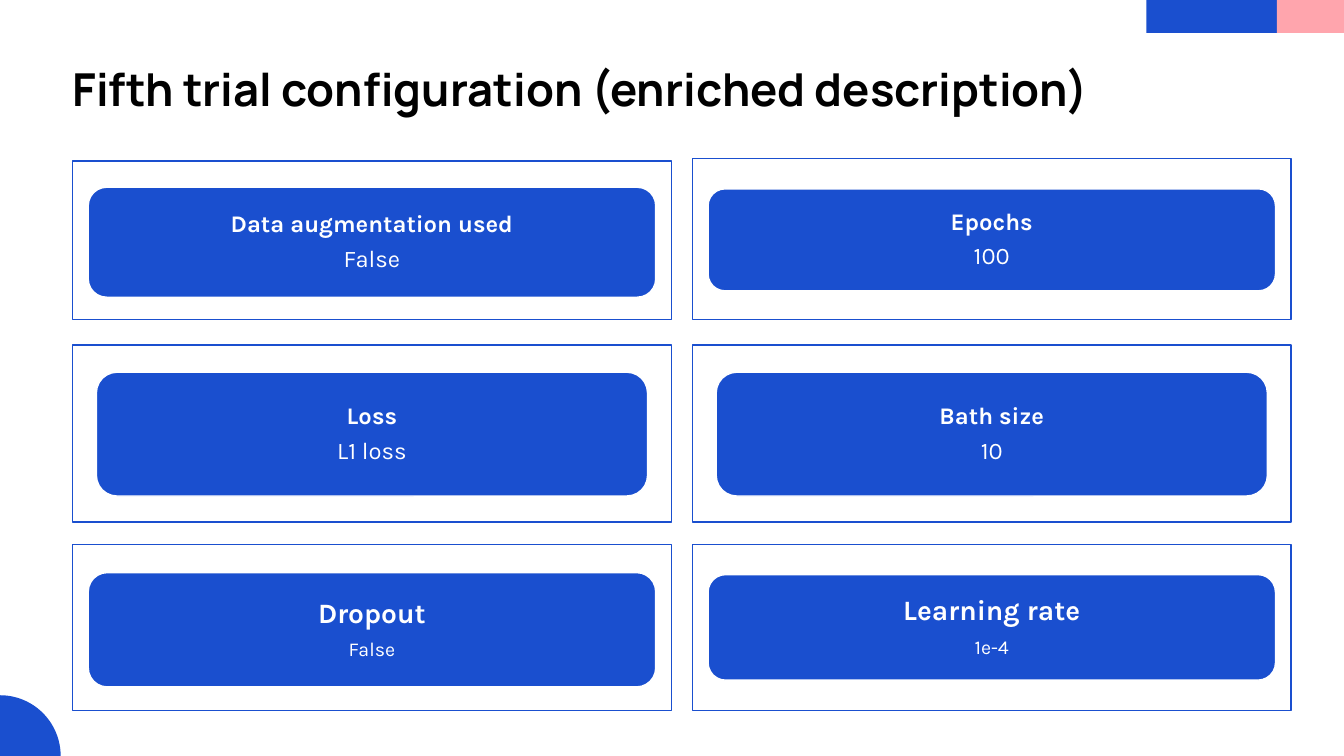
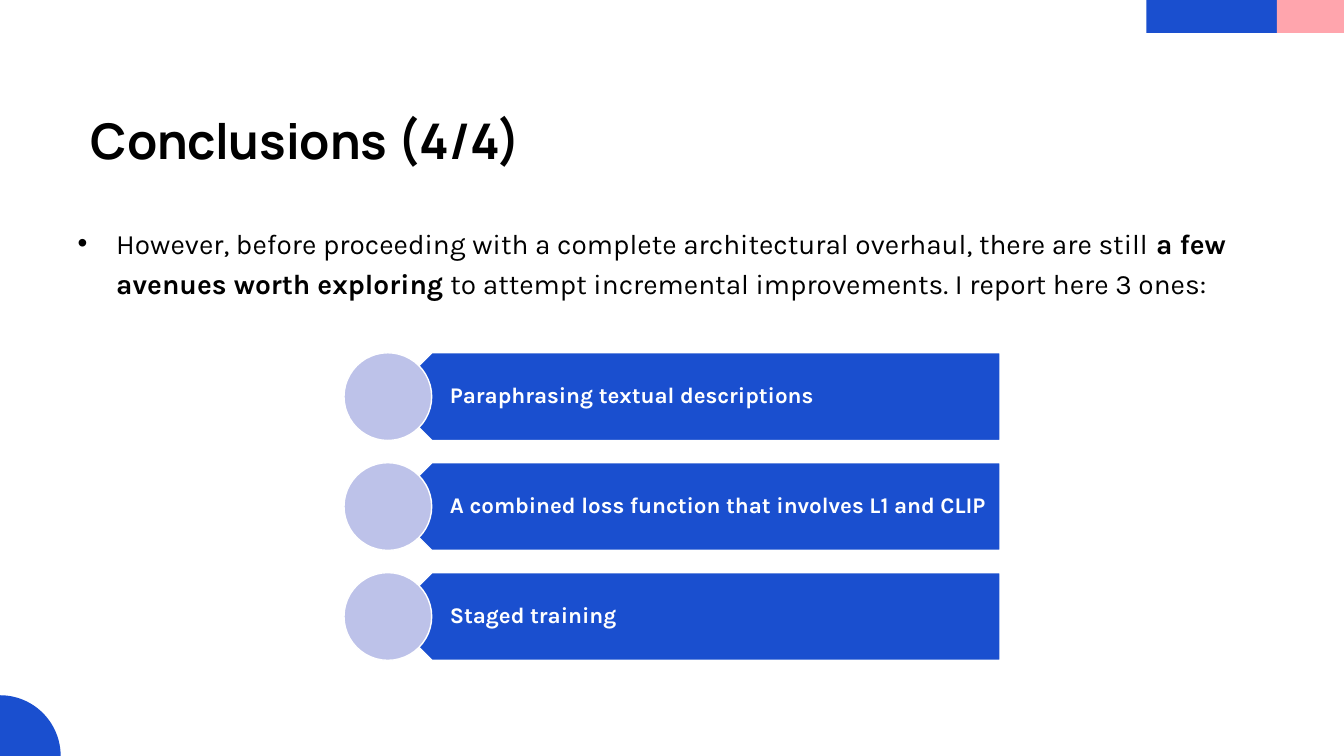
from math import cos, pi, sin

from lxml.etree import SubElement
from pptx import Presentation
from pptx.dml.color import RGBColor
from pptx.enum.shapes import MSO_SHAPE
from pptx.enum.text import MSO_ANCHOR, PP_ALIGN
from pptx.oxml.ns import qn
from pptx.util import Cm, Pt

BLUE, PINK, LILAC = "1A4FCF", "FFA5AD", "BDC2E9"
WHITE, BLACK = "FFFFFF", "000000"
HEAD, BODY = "Manrope", "Karla"
WIDE, HIGH = 33.87, 19.05


def rgb(code):
    return RGBColor.from_string(code)


def say(para, text, font=BODY, size=17, color=WHITE, bold=False,
        align=None, line=None, before=None, after=None):
    """Add a run to a paragraph; spacing is set only when given."""
    run = para.add_run()
    run.text = text
    run.font.name = font
    run.font.size = Pt(size)
    run.font.bold = bold
    run.font.color.rgb = rgb(color)
    if align is not None:
        para.alignment = align
    if line is not None:
        para.line_spacing = line
    if before is not None:
        para.space_before = Pt(before)
    if after is not None:
        para.space_after = Pt(after)


def bullet(para, indent):
    props = para._p.get_or_add_pPr()
    props.set("marL", str(Cm(indent)))
    props.set("indent", str(-Cm(indent)))
    SubElement(props, qn("a:buFont")).set("typeface", "Arial")
    SubElement(props, qn("a:buChar")).set("char", "•")


class Deck:
    """Holds the shared style and the current slide."""

    def __init__(self):
        self.show = Presentation()
        self.show.slide_width = Cm(WIDE)
        self.show.slide_height = Cm(HIGH)
        self.slide = None

    def page(self, title, left, top, size):
        self.slide = self.show.slides.add_slide(self.show.slide_layouts[6])
        self.shape(MSO_SHAPE.RECTANGLE, 28.89, 0, 3.29, 0.83, BLUE)
        self.shape(MSO_SHAPE.RECTANGLE, 32.18, 0, 1.69, 0.83, PINK)
        self.corner(1.53)
        frame = self.box(left, top, 26.85, 2.13, anchor=MSO_ANCHOR.BOTTOM)
        say(frame.paragraphs[0], title, font=HEAD, size=size,
            color=BLACK, bold=True)

    def paint(self, shape, fill, line=None):
        shape.shadow.inherit = False
        shape.fill.solid()
        shape.fill.fore_color.rgb = rgb(fill)
        if line:
            shape.line.color.rgb = rgb(line)
            shape.line.width = Pt(1)
        else:
            shape.line.fill.background()
        return shape

    def shape(self, kind, left, top, width, height, fill, line=None):
        shape = self.slide.shapes.add_shape(
            kind, Cm(left), Cm(top), Cm(width), Cm(height))
        return self.paint(shape, fill, line)

    def corner(self, size, steps=40):
        """Draw a quarter disc in the bottom left corner."""
        arc = [(Cm(size * sin(pi / 2 * i / steps)),
                Cm(HIGH - size * cos(pi / 2 * i / steps)))
               for i in range(steps + 1)]
        path = self.slide.shapes.build_freeform(0, Cm(HIGH))
        path.add_line_segments(arc, close=True)
        self.paint(path.convert_to_shape(), BLUE)

    def frame(self, shape, anchor, pads):
        """Prepare the text frame; pads are left, top, right, bottom."""
        frame = shape.text_frame
        frame.word_wrap = True
        frame.vertical_anchor = anchor
        (frame.margin_left, frame.margin_top,
         frame.margin_right, frame.margin_bottom) = map(Cm, pads)
        return frame

    def box(self, left, top, width, height, anchor=MSO_ANCHOR.TOP,
            pads=(0, 0, 0, 0)):
        box = self.slide.shapes.add_textbox(
            Cm(left), Cm(top), Cm(width), Cm(height))
        return self.frame(box, anchor, pads)

    def card(self, left, outer, inner, width, label, value, sizes):
        """Draw a framed pill; outer and inner are (top, height)."""
        full = 15.09
        self.shape(MSO_SHAPE.RECTANGLE, left, outer[0], full, outer[1],
                   WHITE, BLUE)
        pill = self.shape(MSO_SHAPE.ROUNDED_RECTANGLE,
                          left + (full - width) / 2, inner[0],
                          width, inner[1], BLUE, WHITE)
        frame = self.frame(pill, MSO_ANCHOR.MIDDLE, (0.4, 0, 0.4, 0))
        paras = frame.paragraphs[0], frame.add_paragraph()
        for para, text, size, bold in zip(paras, (label, value), sizes,
                                          (True, False)):
            say(para, text, size=size, bold=bold, align=PP_ALIGN.CENTER,
                line=0.9, after=round(size * 0.37, 1))

    def step(self, top, text):
        size = 2.21
        arrow = self.shape(MSO_SHAPE.PENTAGON, 9.78, top, 15.42, size,
                           BLUE, WHITE)
        arrow.rotation = 180
        frame = self.box(10.34, top, 14.86, size, MSO_ANCHOR.MIDDLE,
                         (1, 0.18, 0.3, 0.18))
        say(frame.paragraphs[0], text, size=16, bold=True, line=0.9)
        self.shape(MSO_SHAPE.OVAL, 8.67, top, size, size, LILAC, WHITE)


def trial(deck):
    deck.page("Fifth trial configuration (enriched description)",
              1.83, 0.79, 32.4)
    left, right = 1.83, 17.45
    slim, broad = 13.89, 14.3
    even, mixed = (17, 17), (20, 14)
    low, last = (8.69, 4.47), (13.72, 4.19)
    cards = [
        (left, (4.06, 3.99), (4.72, 2.77), broad,
         "Data augmentation used", "False", even),
        (right, (3.99, 4.06), (4.76, 2.57), broad, "Epochs", "100", even),
        (left, low, (9.38, 3.12), slim, "Loss", "L1 loss", even),
        (right, low, (9.38, 3.12), slim, "Bath size", "10", even),
        (left, last, (14.43, 2.88), broad, "Dropout", "False", mixed),
        (right, last, (14.48, 2.66), broad, "Learning rate", "1e-4", mixed),
    ]
    for card in cards:
        deck.card(*card)


def ending(deck):
    deck.page("Conclusions (4/4)", 2.29, 2.13, 35.1)
    para = deck.box(1.96, 5.54, 31.37, 2.6).paragraphs[0]
    parts = [
        ("However, before proceeding with a complete architectural "
         "overhaul, there are still ", False),
        ("a few avenues worth exploring", True),
        (" to attempt incremental improvements. I report here 3 ones:",
         False),
    ]
    for text, bold in parts:
        say(para, text, size=20, color=BLACK, bold=bold, line=1.2, before=10)
    bullet(para, 0.97)
    steps = ["Paraphrasing textual descriptions",
             "A combined loss function that involves L1 and CLIP",
             "Staged training"]
    for i, text in enumerate(steps):
        deck.step(8.89 + 2.77 * i, text)


def main():
    deck = Deck()
    trial(deck)
    ending(deck)
    deck.show.save("out.pptx")


if __name__ == "__main__":
    main()
